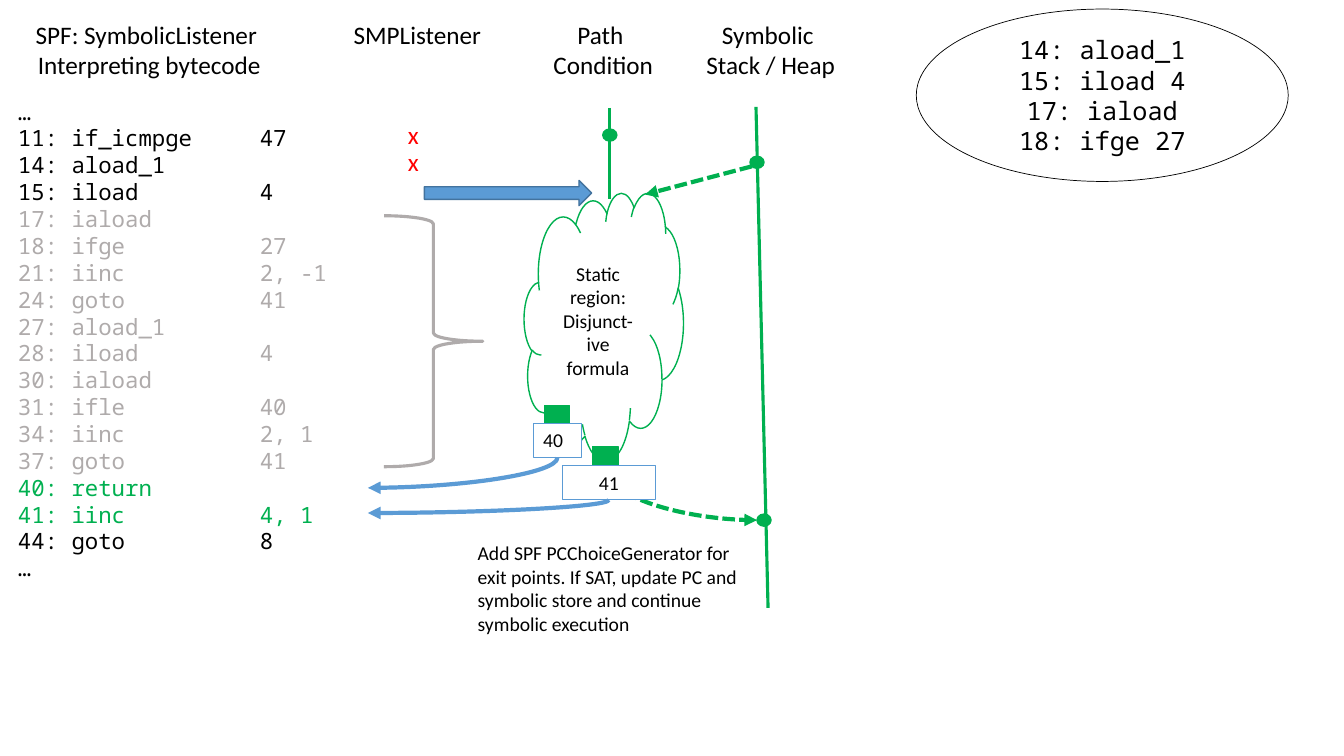
import collections

import lxml.etree
import pptx
import pptx.dml.color
import pptx.enum.dml
import pptx.enum.shapes
import pptx.enum.text
import pptx.oxml.ns
import pptx.util

COLORS = {"black": "000000", "white": "FFFFFF", "green": "00B050", "grey": "AFABAB",
          "red": "FF0000", "blue": "5B9BD5", "navy": "43739E"}
SANS, MONO = "Calibri", "Noto Sans Mono"
SHAPE = pptx.enum.shapes.MSO_SHAPE
LINE = pptx.enum.shapes.MSO_CONNECTOR
ALIGN = pptx.enum.text.PP_ALIGN
ANCHOR = pptx.enum.text.MSO_ANCHOR
qn = pptx.oxml.ns.qn

# The slide is a grid of 40 columns by 22.5 rows of square cells
WIDTH, HEIGHT = pptx.util.Inches(40 / 3), pptx.util.Inches(7.5)
COLS, ROWS = 40, 22.5
Box = collections.namedtuple("Box", "x y w h")

EXECUTED = ["…", "11: if_icmpge\t47", "14: aload_1", "15: iload\t4"]
SKIPPED = ["17: iaload", "18: ifge\t27", "21: iinc\t2, -1", "24: goto\t41", "27: aload_1",
           "28: iload\t4", "30: iaload", "31: ifle\t40", "34: iinc\t2, 1", "37: goto\t41"]
EXITS = ["40: return", "41: iinc\t4, 1"]
RESUMED = ["44: goto\t8", "…"]


def rgb(name):
    return pptx.dml.color.RGBColor.from_string(COLORS[name])


def cells(x, y):
    return round(x * WIDTH / COLS), round(y * HEIGHT / ROWS)


def place(box, x, y, w, h):
    return cells(box.x + x, box.y + y) + cells(w, h)


def write(s, lines, size=18, font=SANS, color="black", align=ALIGN.CENTER,
          anchor=ANCHOR.TOP, wrap=True, spacing=None, tab=None):
    """Each line is a text or a (text, colour) pair."""
    tf = s.text_frame
    tf.word_wrap, tf.vertical_anchor = wrap, anchor
    for i, line in enumerate(lines):
        text, tint = (line, color) if isinstance(line, str) else line
        p = tf.paragraphs[0] if i == 0 else tf.add_paragraph()
        p.alignment = align
        if spacing:
            p.line_spacing = pptx.util.Pt(size * spacing)
        if tab:
            tabs = lxml.etree.SubElement(p._p.get_or_add_pPr(), qn("a:tabLst"))
            lxml.etree.SubElement(tabs, qn("a:tab"), pos=str(cells(tab, 0)[0]), algn="l")
        p.text = text
        for r in p.runs:
            r.font.size, r.font.name = pptx.util.Pt(size), font
            r.font.color.rgb = rgb(tint)


def add_text(slide, box, at, lines, **fmt):
    write(slide.shapes.add_textbox(*place(box, *at)), lines, **fmt)


def add_header(slide, box, at, lines):
    add_text(slide, box, at, lines)


def add_shape(slide, box, kind, at, fill=None, line="green", width=1):
    s = slide.shapes.add_shape(kind, *place(box, *at))
    s.shadow.inherit = False
    if fill:
        s.fill.solid()
        s.fill.fore_color.rgb = rgb(fill)
    else:
        s.fill.background()
    s.line.color.rgb, s.line.width = rgb(line), pptx.util.Pt(width)
    return s


def add_dot(slide, box, x, y):
    add_shape(slide, box, SHAPE.OVAL, (x, y, 0.42, 0.36), fill="green")


def add_line(slide, box, start, end, color="green", width=2.25, dash=False, arrow=False,
             kind=LINE.STRAIGHT):
    c = slide.shapes.add_connector(kind, *cells(box.x + start[0], box.y + start[1]),
                                   *cells(box.x + end[0], box.y + end[1]))
    c.line.color.rgb, c.line.width = rgb(color), pptx.util.Pt(width)
    if dash:
        c.line.dash_style = pptx.enum.dml.MSO_LINE.SQUARE_DOT
    if arrow:
        lxml.etree.SubElement(c.line._get_or_add_ln(), qn("a:tailEnd"), type="triangle")
    lxml.etree.SubElement(c._element.spPr, qn("a:effectLst"))
    return c


def add_curve(slide, box, start, end, **fmt):
    """Arrow that leaves downwards and arrives sideways: a turned quarter curve."""
    (x1, y1), (x2, y2) = start, end
    mid_x, mid_y = (x1 + x2) / 2, (y1 + y2) / 2
    side = 1 if x2 > x1 else -1
    dx, dy = side * (y2 - y1) / 2, abs(x2 - x1) / 2
    c = add_line(slide, box, (mid_x + dx, mid_y - dy), (mid_x - dx, mid_y + dy),
                 width=3, arrow=True, kind=LINE.CURVE, **fmt)
    spPr = c._element.spPr
    spPr.find(qn("a:xfrm")).set("rot", str((270 if side > 0 else 90) * 60000))
    spPr.find(qn("a:prstGeom")).set("prst", "curvedConnector2")


def add_bytecode(slide, box):
    add_header(slide, box, (0.06, 0.42, 8.76, 2.13),
               ["SPF: SymbolicListener ", "Interpreting bytecode"])
    code = [(text, color) for color, part in (("black", EXECUTED), ("grey", SKIPPED),
                                              ("green", EXITS), ("black", RESUMED))
            for text in part]
    add_text(slide, box, (0.24, 2.76, 11.28, 15.66), code, size=16, font=MONO,
             align=ALIGN.LEFT, spacing=1.2, tab=7.2)


def add_listener(slide, box):
    add_header(slide, box, (0.04, 0.42, 5.76, 1.2), ["SMPListener"])
    for i in range(2):
        add_text(slide, box, (1.99, 3.51 + 0.81 * i, 1.62, 0.96), ["x"], color="red",
                 anchor=ANCHOR.MIDDLE)
    add_shape(slide, box, SHAPE.RIGHT_ARROW, (3.13, 5.37, 4.98, 0.75), fill="blue", line="navy")
    add_shape(slide, box, SHAPE.RIGHT_BRACE, (1.93, 6.42, 2.94, 7.47), line="grey", width=2.25)


def add_heap(slide, box):
    add_header(slide, box, (0.27, 0.42, 6.33, 2.13), ["Symbolic \vStack / Heap"])
    add_line(slide, box, (3, 3.18), (3.36, 18.09))
    add_dot(slide, box, 2.82, 4.65)
    add_dot(slide, box, 3.03, 15.3)
    # Heap feeds the static region, which updates it in turn
    add_line(slide, box, (2.88, 4.95), (-0.3, 5.79), width=3, dash=True, arrow=True)
    add_curve(slide, box, (-1.5, 13.92), (3.03, 15.48), dash=True)


def add_path(slide, box):
    add_header(slide, box, (0.89, 0.42, 6.33, 2.13), ["Path \vCondition"])
    add_dot(slide, box, 4.04, 3.84)
    add_line(slide, box, (4.25, 3.21), (4.25, 3.84))
    add_line(slide, box, (4.25, 4.17), (4.25, 5.91))
    cloud = add_shape(slide, box, SHAPE.CLOUD, (1.7, 5.73, 4.74, 7.98))
    write(cloud, ["Static region: Disjunct-ive", "formula"], size=14, anchor=ANCHOR.MIDDLE)
    # Exit points: green port, numbered box, return arrow
    exits = [("40", 2.3, 12.06, (1.97, 12.6, 1.44, 1.02), ALIGN.LEFT, 14.52),
             ("41", 3.74, 13.29, (2.84, 13.86, 2.76, 1.02), ALIGN.CENTER, 15.27)]
    for number, x, y, at, align, target in exits:
        add_shape(slide, box, SHAPE.RECTANGLE, (x, y, 0.75, 0.63), fill="green")
        s = add_shape(slide, box, SHAPE.RECTANGLE, at, fill="white", line="blue", width=0.75)
        write(s, [number], size=14, align=align, wrap=number == "41")
        left, top, w, h = at
        add_curve(slide, box, (left + w / 2, top + h), (-2.95, target), color="blue")
    add_text(slide, box, (0.02, 15.96, 8.85, 3.84),
             ["Add SPF PCChoiceGenerator for exit points. If SAT, update PC and "
              "symbolic store and continue symbolic execution"], size=14, align=ALIGN.LEFT)


def add_snippet(slide, box):
    s = add_shape(slide, box, SHAPE.OVAL, (0, 0, box.w, box.h), line="black", width=0.5)
    write(s, ["14: aload_1", "15: iload 4", "17: iaload", "18: ifge 27"], font=MONO,
          anchor=ANCHOR.MIDDLE, wrap=False, spacing=1.2)


def main():
    prs = pptx.Presentation()
    prs.slide_width, prs.slide_height = WIDTH, HEIGHT
    slide = prs.slides.add_slide(prs.slide_layouts[6])
    add_bytecode(slide, Box(0, 0, 11.5, ROWS))
    add_heap(slide, Box(19.5, 0, 6.6, ROWS))
    add_path(slide, Box(13.9, 0, 8.9, ROWS))
    add_listener(slide, Box(9.5, 0, 8.1, ROWS))
    add_snippet(slide, Box(27.27, 0.27, 11.07, 5.13))
    prs.save("out.pptx")


if __name__ == "__main__":
    main()
